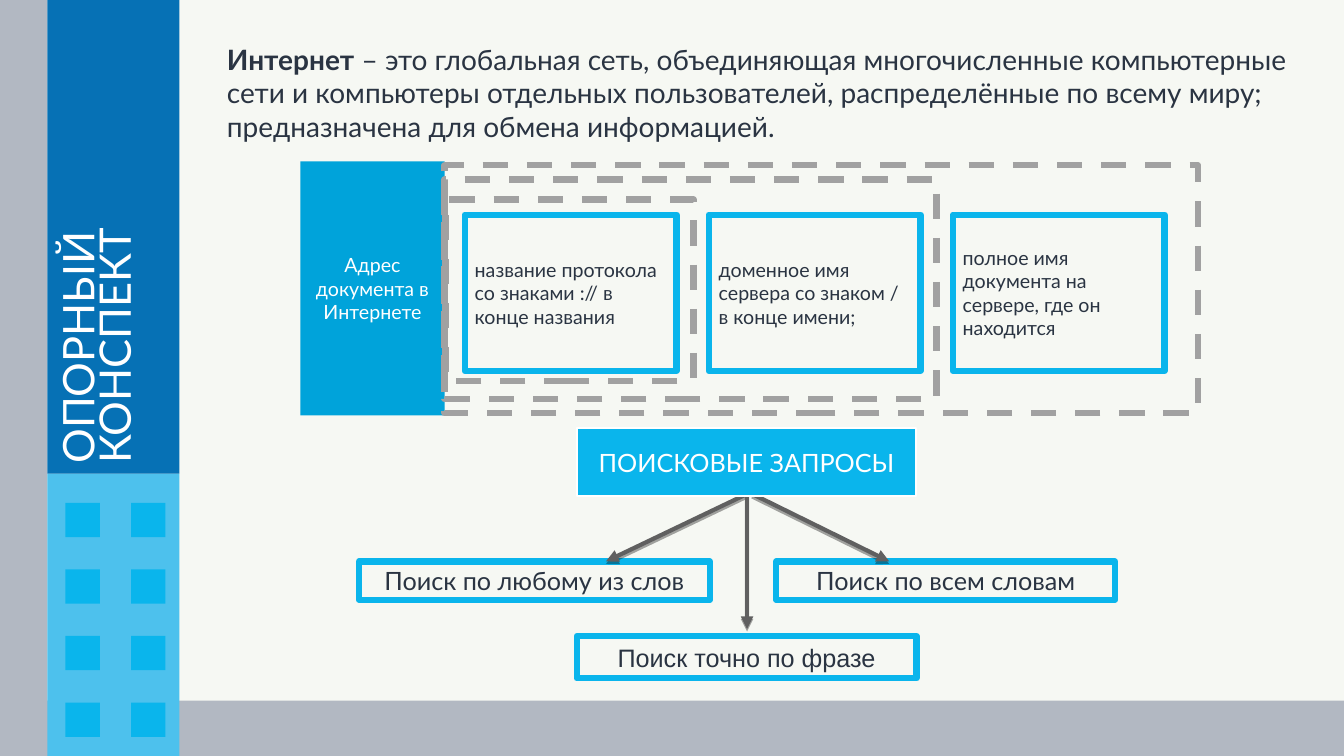
from dataclasses import dataclass
from itertools import product
from typing import Optional

from lxml.etree import SubElement
from pptx import Presentation
from pptx.dml.color import RGBColor
from pptx.enum.dml import MSO_LINE
from pptx.enum.shapes import MSO_CONNECTOR, MSO_SHAPE
from pptx.enum.text import MSO_ANCHOR, MSO_AUTO_SIZE, PP_ALIGN
from pptx.oxml.ns import qn
from pptx.shapes.autoshape import Shape
from pptx.slide import Slide
from pptx.text.text import _Paragraph as Paragraph
from pptx.util import Emu, Pt

PX = 9144


@dataclass(frozen=True)
class Theme:
    paper: str = "F6F8F3"
    margin: str = "B2B8C2"
    band: str = "0671B5"
    tile_panel: str = "4DC1ED"
    accent: str = "0AB5EC"
    address: str = "00A3DA"
    dash: str = "A1A1A1"
    arrow: str = "606060"
    ink: str = "2A3442"
    white: str = "FFFFFF"
    font: str = "Lato"
    phrase_font: str = "Arial"
    title_size: int = 31
    intro_size: int = 20
    query_size: int = 18
    part_size: int = 14
    frame_width: float = 4.5
    hub_width: float = 1.5
    arrow_width: float = 3


THEME = Theme()


@dataclass(frozen=True)
class Area:
    left: int
    top: int
    width: int
    height: int

    def emu(self) -> tuple[Emu, ...]:
        return tuple(Emu(n * PX) for n in (self.left, self.top, self.width, self.height))


@dataclass(frozen=True)
class Box:
    area: Area
    fill: Optional[str] = None
    line: Optional[str] = None
    line_width: float = THEME.frame_width
    dashed: bool = False
    text: str = ""
    size: int = THEME.query_size
    color: str = THEME.ink
    font: str = THEME.font
    align: PP_ALIGN = PP_ALIGN.CENTER
    wrap: bool = False


@dataclass(frozen=True)
class Arrow:
    start: tuple[int, int]
    end: tuple[int, int]


def style_paragraph(paragraph: Paragraph, size: int, color: str, font: str,
                    align: PP_ALIGN) -> None:
    paragraph.alignment = align
    paragraph.font.size = Pt(size)
    paragraph.font.name = font
    paragraph.font.color.rgb = RGBColor.from_string(color)


def draw_box(slide: Slide, box: Box) -> None:
    shape = slide.shapes.add_shape(MSO_SHAPE.RECTANGLE, *box.area.emu())
    shape.shadow.inherit = False
    if box.fill:
        shape.fill.solid()
        shape.fill.fore_color.rgb = RGBColor.from_string(box.fill)
    else:
        shape.fill.background()
    if box.line:
        shape.line.color.rgb = RGBColor.from_string(box.line)
        shape.line.width = Pt(box.line_width)
        if box.dashed:
            shape.line.dash_style = MSO_LINE.DASH
    else:
        shape.line.fill.background()
    if box.text:
        frame = shape.text_frame
        frame.word_wrap = box.wrap
        frame.vertical_anchor = MSO_ANCHOR.MIDDLE
        frame.text = box.text
        style_paragraph(frame.paragraphs[0], box.size, box.color, box.font, box.align)


def draw_arrow(slide: Slide, arrow: Arrow) -> None:
    ends = [Emu(n * PX) for n in arrow.start + arrow.end]
    connector = slide.shapes.add_connector(MSO_CONNECTOR.STRAIGHT, *ends)
    connector.line.color.rgb = RGBColor.from_string(THEME.arrow)
    connector.line.width = Pt(THEME.arrow_width)
    properties = connector.element.spPr
    SubElement(properties.find(qn("a:ln")), qn("a:tailEnd"), type="triangle")
    effects = SubElement(properties, qn("a:effectLst"))
    shadow = SubElement(effects, qn("a:outerShdw"), blurRad="0", dist=str(Pt(1.8)),
                        dir="5400000", rotWithShape="0")
    black = SubElement(shadow, qn("a:srgbClr"), val="000000")
    SubElement(black, qn("a:alpha"), val="35000")


def place(slide: Slide, placeholder: Shape, area: Area, anchor: MSO_ANCHOR) -> Paragraph:
    slide.shapes.element.append(placeholder.element)
    placeholder.left, placeholder.top, placeholder.width, placeholder.height = area.emu()
    frame = placeholder.text_frame
    frame.word_wrap = True
    frame.auto_size = MSO_AUTO_SIZE.NONE
    frame.vertical_anchor = anchor
    return frame.paragraphs[0]


def fill_title(slide: Slide) -> None:
    title = slide.shapes.title
    title.text_frame.text = "ОПОРНЫЙ КОНСПЕКТ"
    paragraph = place(slide, title, Area(-139, 189, 474, 88), MSO_ANCHOR.BOTTOM)
    title.rotation = 270
    paragraph.line_spacing = 0.7
    style_paragraph(paragraph, THEME.title_size, THEME.white, THEME.font, PP_ALIGN.LEFT)


def fill_intro(slide: Slide) -> None:
    paragraph = place(slide, slide.placeholders[1], Area(215, 37, 1090, 111), MSO_ANCHOR.TOP)
    indents = paragraph._p.get_or_add_pPr()
    indents.set("marL", "0")
    indents.set("indent", "0")
    SubElement(indents, qn("a:buNone"))
    paragraph.space_before = Pt(0)
    term = paragraph.add_run()
    term.text = "Интернет"
    term.font.bold = True
    definition = paragraph.add_run()
    definition.text = (
        " – это глобальная сеть, объединяющая многочисленные компьютерные сети и "
        "компьютеры отдельных пользователей, распределённые по всему миру; "
        "предназначена для обмена информацией."
    )
    style_paragraph(paragraph, THEME.intro_size, THEME.ink, THEME.font, PP_ALIGN.LEFT)


BACKDROP = [
    Box(Area(0, 0, 47, 750), THEME.margin),
    Box(Area(0, 695, 1333, 55), THEME.margin),
    Box(Area(47, 470, 131, 280), THEME.tile_panel),
    *(Box(Area(65 + 65 * column, 499 + 66 * row, 34, 34), THEME.accent)
      for row, column in product(range(4), range(2))),
    Box(Area(47, 0, 131, 470), THEME.band),
]

ADDRESS_PARTS = [
    "название протокола со знаками :// в конце названия",
    "доменное имя сервера со знаком / в конце имени;",
    "полное имя документа на сервере, где он находится",
]

ADDRESS_SCHEME = [
    Box(Area(298, 160, 143, 252), THEME.address, text="Адрес документа в Интернете",
        size=THEME.part_size, color=THEME.white, wrap=True),
    *(Box(Area(461 + 242 * index, 213, 210, 155), line=THEME.accent, text=part,
          size=THEME.part_size, align=PP_ALIGN.LEFT, wrap=True)
      for index, part in enumerate(ADDRESS_PARTS)),
    *(Box(area, line=THEME.dash, dashed=True)
      for area in (Area(442, 198, 246, 180), Area(441, 178, 488, 218),
                   Area(441, 164, 747, 246))),
]

QUERY_KINDS = [
    Box(Area(356, 557, 348, 38), line=THEME.accent, text="Поиск по любому из слов"),
    Box(Area(770, 557, 336, 38), line=THEME.accent, text="Поиск по всем словам"),
    Box(Area(572, 631, 337, 42), line=THEME.accent, text="Поиск точно по фразе",
        font=THEME.phrase_font),
]
QUERY_ARROWS = [
    Arrow((741, 490), (601, 557)),
    Arrow((746, 490), (882, 557)),
    Arrow((741, 490), (741, 624)),
]
QUERY_HUB = Box(Area(572, 425, 337, 67), THEME.accent, THEME.white, THEME.hub_width,
                text="ПОИСКОВЫЕ ЗАПРОСЫ", color=THEME.white)


def main() -> None:
    deck = Presentation()
    deck.slide_width, deck.slide_height = Emu(1333 * PX), Emu(750 * PX)
    slide = deck.slides.add_slide(deck.slide_layouts[1])
    slide.background.fill.solid()
    slide.background.fill.fore_color.rgb = RGBColor.from_string(THEME.paper)
    for box in BACKDROP:
        draw_box(slide, box)
    fill_title(slide)
    fill_intro(slide)
    for box in ADDRESS_SCHEME + QUERY_KINDS:
        draw_box(slide, box)
    for arrow in QUERY_ARROWS:
        draw_arrow(slide, arrow)
    draw_box(slide, QUERY_HUB)
    deck.save("out.pptx")


if __name__ == "__main__":
    main()
